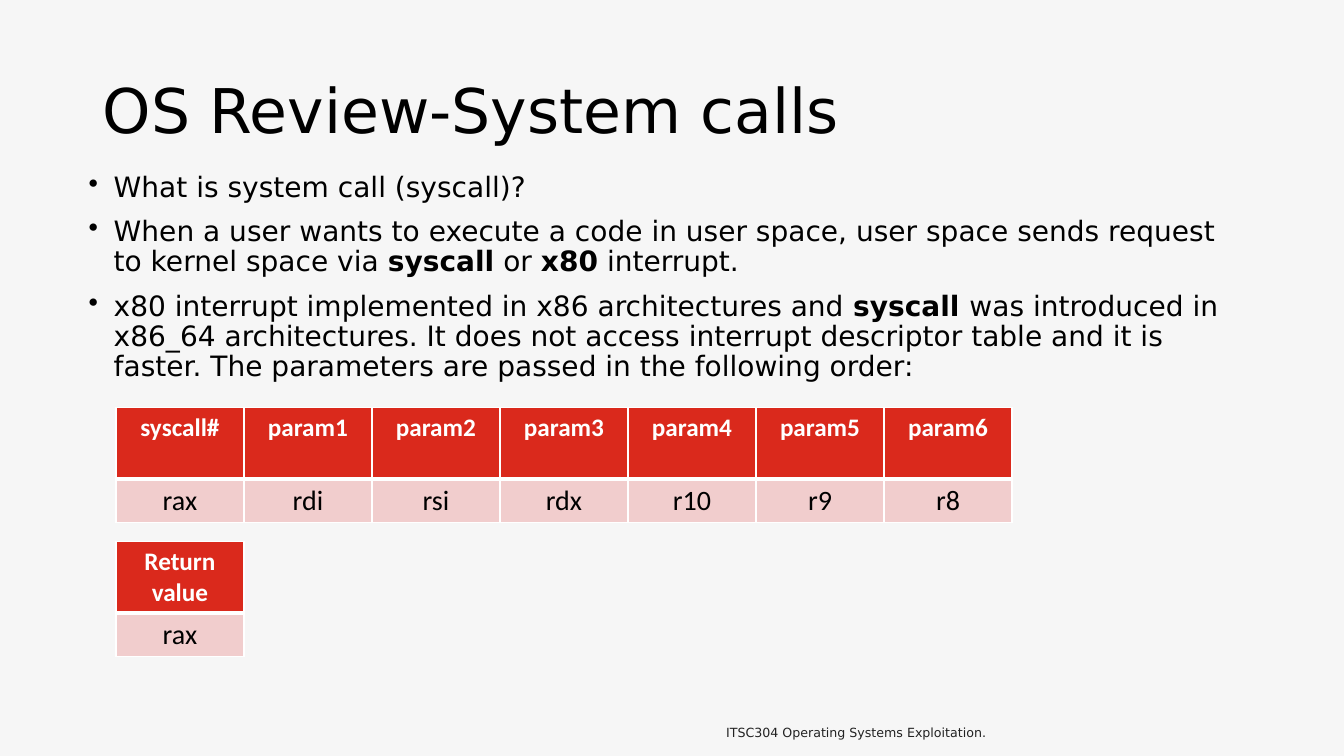
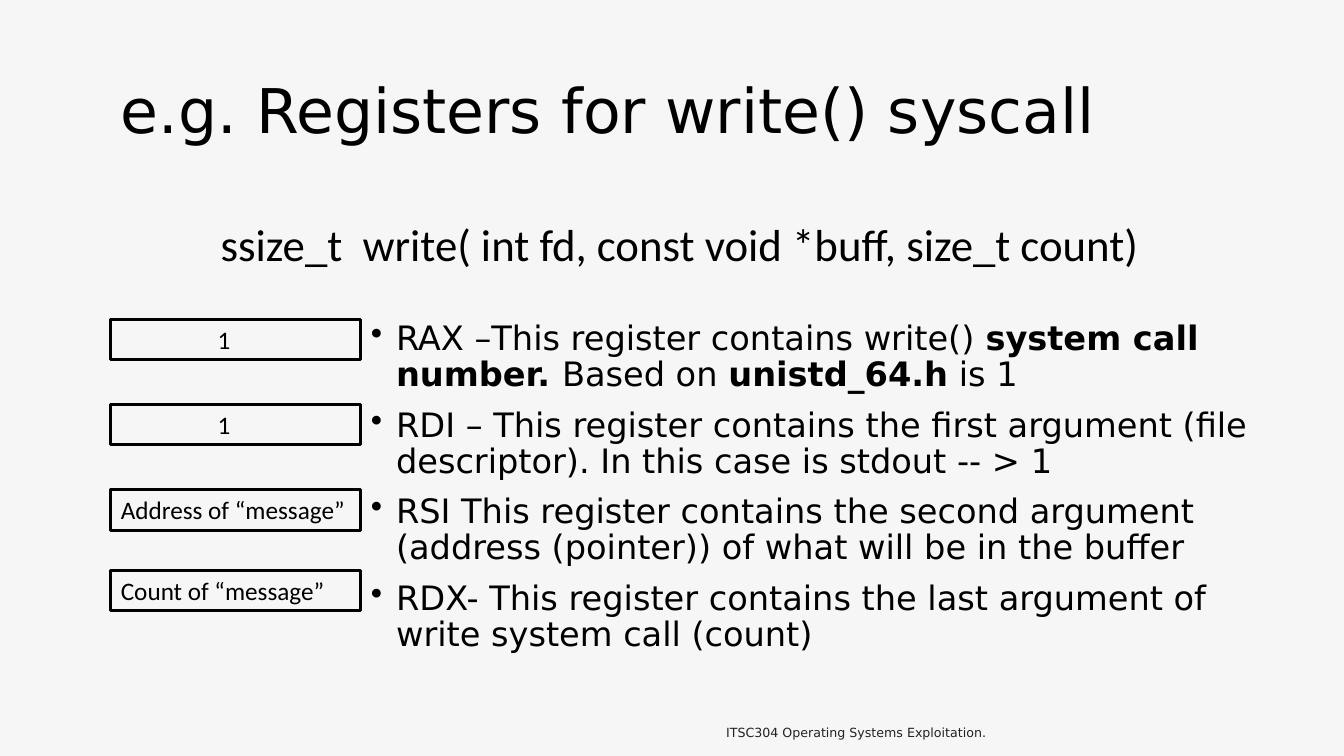
from dataclasses import dataclass

from lxml import etree
from pptx import Presentation
from pptx.dml.color import RGBColor
from pptx.enum.shapes import MSO_SHAPE
from pptx.enum.text import MSO_ANCHOR, PP_ALIGN
from pptx.oxml.ns import qn
from pptx.util import Inches, Pt

LEFT, CENTER = PP_ALIGN.LEFT, PP_ALIGN.CENTER
TOP, MIDDLE, BOTTOM = MSO_ANCHOR.TOP, MSO_ANCHOR.MIDDLE, MSO_ANCHOR.BOTTOM
RECTANGLE = MSO_SHAPE.RECTANGLE
BLANK_LAYOUT = 6


@dataclass(frozen=True)
class Theme:
    background: str = "F6F6F6"
    text: str = "000000"
    footer: str = "222222"
    header_fill: str = "DA291C"
    cell_fill: str = "F1CDCD"
    white: str = "FFFFFF"
    font: str = "DejaVu Sans"
    label_font: str = "Calibri"
    title_size: int = 44
    code_size: int = 32
    large_size: int = 24
    body_size: int = 20
    label_size: int = 18
    footer_size: int = 9


THEME = Theme()
FOOTER = "ITSC304 Operating Systems Exploitation."


def rgb(value):
    return RGBColor.from_string(value)


def write_text(frame, *texts, size, font=THEME.font, color=THEME.text, bold=False,
               align=LEFT, anchor=TOP, wrap=True, line_spacing=None,
               space_before=0, bullet=False, indent=0):
    """Write one paragraph per text; parts between ** marks are bold."""
    frame.word_wrap = wrap
    frame.vertical_anchor = anchor
    for index, text in enumerate(texts):
        paragraph = frame.paragraphs[0] if index == 0 else frame.add_paragraph()
        properties = paragraph._p.get_or_add_pPr()
        if indent:
            properties.set("marL", str(Inches(indent)))
        if bullet:
            properties.set("indent", str(-Inches(indent)))
            etree.SubElement(properties, qn("a:buChar"), char="•")
        paragraph.alignment = align
        if line_spacing:
            paragraph.line_spacing = line_spacing
        if index and space_before:
            paragraph.space_before = Pt(space_before)
        for part, content in enumerate(text.split("**")):
            if content:
                run = paragraph.add_run()
                run.text = content
                run.font.size = Pt(size)
                run.font.name = font
                run.font.bold = bold or part % 2 == 1
                run.font.color.rgb = rgb(color)


def add_text(slide, box, *texts, **text_format):
    shape = slide.shapes.add_textbox(*map(Inches, box))
    write_text(shape.text_frame, *texts, **text_format)


def add_bullets(slide, box, texts, size):
    add_text(slide, box, *texts, size=size, line_spacing=0.9, space_before=10,
             bullet=True, indent=0.25)


def add_base_slide(presentation, title, title_left):
    """Background, title and footer shared by all slides."""
    slide = presentation.slides.add_slide(presentation.slide_layouts[BLANK_LAYOUT])
    slide.background.fill.solid()
    slide.background.fill.fore_color.rgb = rgb(THEME.background)
    add_text(slide, (title_left, 0.4, 11.5, 1.45), title, size=THEME.title_size,
             anchor=MIDDLE, line_spacing=0.9)
    add_text(slide, (5.72, 6.99, 5.54, 0.4), FOOTER, size=THEME.footer_size,
             color=THEME.footer, align=CENTER, anchor=BOTTOM)
    return slide


def set_borders(cell, top, bottom):
    properties = cell._tc.get_or_add_tcPr()
    for side, width in (("L", 1), ("R", 1), ("T", top), ("B", bottom)):
        line = etree.SubElement(properties, qn(f"a:ln{side}"), w=str(Pt(width)))
        fill = etree.SubElement(line, qn("a:solidFill"))
        etree.SubElement(fill, qn("a:srgbClr"), val=THEME.white)


def add_register_table(slide, left, top, headers, registers):
    column_width, row_heights = 1.27, (0.71, 0.42)
    table = slide.shapes.add_table(
        2, len(headers), Inches(left), Inches(top),
        Inches(column_width * len(headers)), Inches(sum(row_heights))).table
    for column in table.columns:
        column.width = Inches(column_width)
    row_styles = (
        (headers, THEME.header_fill, (1, 3),
         dict(size=THEME.label_size, color=THEME.white, bold=True)),
        (registers, THEME.cell_fill, (3, 1), dict(size=THEME.body_size)),
    )
    for row, (texts, fill, borders, text_format) in enumerate(row_styles):
        table.rows[row].height = Inches(row_heights[row])
        for column, text in enumerate(texts):
            cell = table.cell(row, column)
            set_borders(cell, *borders)
            cell.fill.solid()
            cell.fill.fore_color.rgb = rgb(fill)
            write_text(cell.text_frame, text, font=THEME.label_font,
                       align=CENTER, **text_format)


def add_register_box(slide, box, text, indent):
    shape = slide.shapes.add_shape(RECTANGLE, *map(Inches, box))
    shape.shadow.inherit = False
    shape.fill.background()
    shape.line.color.rgb = rgb(THEME.text)
    shape.line.width = Pt(2.25)
    write_text(shape.text_frame, text, size=THEME.label_size,
               font=THEME.label_font, indent=indent)


def build_system_calls(presentation):
    slide = add_base_slide(presentation, "OS Review-System calls", 0.92)
    add_bullets(slide, (0.78, 1.67, 11.5, 4.76), (
        "What is system call (syscall)?",
        "When a user wants to execute a code in user space, user space sends request "
        "to kernel space via **syscall** or **x80** interrupt.",
        "x80 interrupt implemented in x86 architectures and **syscall **was introduced "
        "in x86_64 architectures. It does not access interrupt descriptor table and it "
        "is faster. The parameters are passed in the following order:",
    ), THEME.body_size)

    # Parameters and return value
    parameters = [f"param{number}" for number in range(1, 7)]
    add_register_table(slide, 1.15, 4.04, ["syscall#", *parameters],
                       ["rax", "rdi", "rsi", "rdx", "r10", "r9", "r8"])
    add_register_table(slide, 1.15, 5.37, ["Return value"], ["rax"])


def build_write_registers(presentation):
    slide = add_base_slide(presentation, "e.g. Registers for write() syscall", 1.1)
    add_bullets(slide, (3.58, 3.14, 8.96, 4.3), (
        "RAX –This register contains write() **system call number. **Based on "
        "**unistd_64.h** is 1",
        "RDI – This register contains the first argument (file descriptor). "
        "In this case is stdout -- > 1",
        "RSI This register contains the second argument (address (pointer)) "
        "of what will be in the buffer",
        "RDX- This register contains the last argument of write system call (count)",
    ), THEME.large_size)

    # Register contents: top, text, indent
    contents = ((3.17, "1", 0.96), (4.01, "1", 0.96),
                (4.86, "Address of “message”", 0), (5.66, "Count of “message”", 0))
    for top, text, indent in contents:
        add_register_box(slide, (1.1, top, 2.48, 0.4), text, indent)

    # Function signature
    add_text(slide, (2.09, 2.1, 9.41, 0.64),
             "ssize_t  write( int fd, const void *buff, size_t count)",
             size=THEME.code_size, font=THEME.label_font, wrap=False)


def main():
    presentation = Presentation()
    presentation.slide_width = Inches(13.33)
    presentation.slide_height = Inches(7.5)
    build_system_calls(presentation)
    build_write_registers(presentation)
    presentation.save("out.pptx")


if __name__ == "__main__":
    main()
